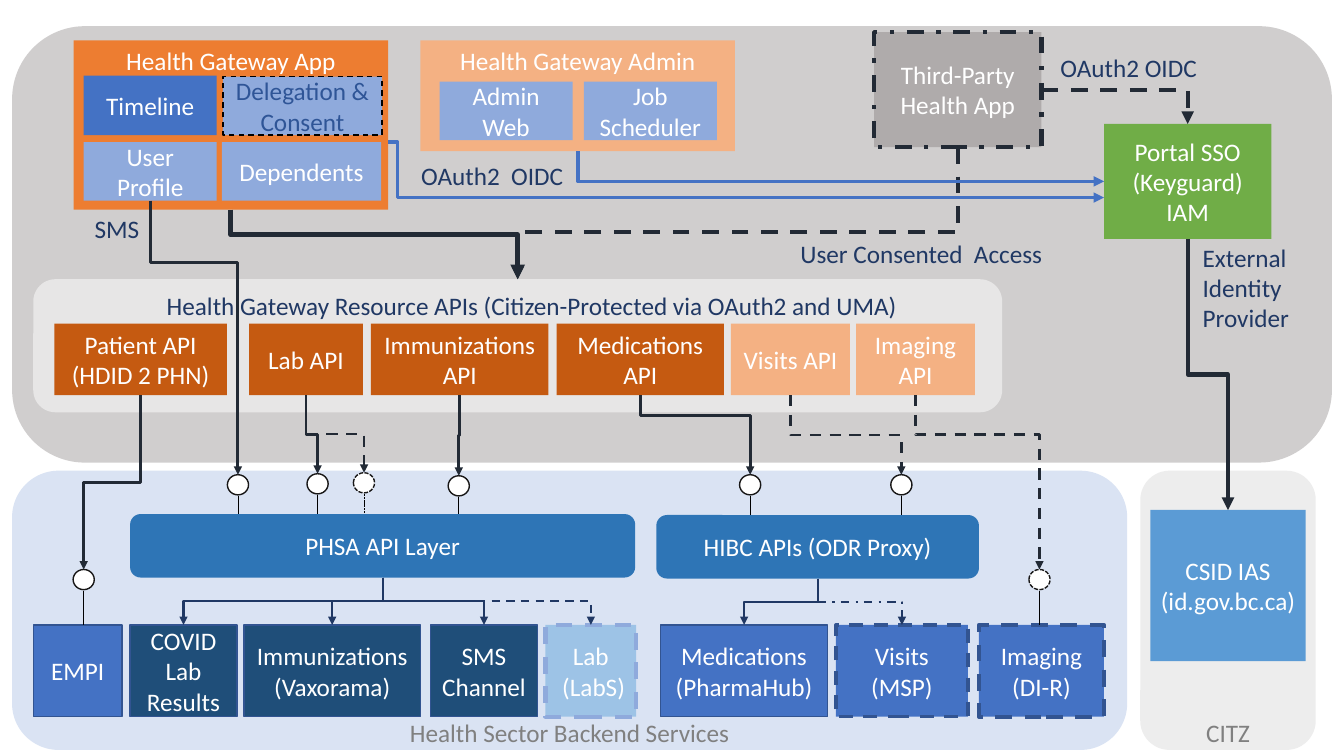
from lxml import etree
from pptx import Presentation
from pptx import util as u
from pptx.dml.color import RGBColor
from pptx.enum import dml, shapes, text
from pptx.oxml.ns import qn

COLORS = {
    "white": "FFFFFF", "black": "000000", "ring": "181717", "ink": "222A35",
    "navy": "203864", "grey text": "808080", "delegation": "2F5597",
    "gateway": "D0CECE", "backend": "DAE3F3", "ministry": "EDEDED",
    "resources": "E7E6E6", "orange": "ED7D31", "rust": "C55A11",
    "peach": "F4B183", "green": "70AD47", "sky": "5B9BD5", "blue": "4472C4",
    "pale blue": "8FAADC", "light blue": "9DC3E6", "deep blue": "1F4E79",
    "layer": "2E75B6", "edge": "325491", "stone": "AFABAB",
}
CELL = u.Inches(0.1)  # the slide is a grid of 133.3 columns and 75 rows
RECT, ROUND, OVAL = (shapes.MSO_SHAPE.RECTANGLE,
                     shapes.MSO_SHAPE.ROUNDED_RECTANGLE,
                     shapes.MSO_SHAPE.OVAL)
DASH, DASH_DOT, DOTS = (dml.MSO_LINE.DASH, dml.MSO_LINE.DASH_DOT,
                        dml.MSO_LINE.SQUARE_DOT)
TOP, MIDDLE = text.MSO_ANCHOR.TOP, text.MSO_ANCHOR.MIDDLE
LEFT, CENTER = text.PP_ALIGN.LEFT, text.PP_ALIGN.CENTER


def cells(*counts):
    return [round(count * CELL) for count in counts]


def rgb(name):
    return RGBColor.from_string(COLORS[name])


def write(shape, words, color="white", align=CENTER, anchor=MIDDLE,
          wrap=True, indent=1):
    frame = shape.text_frame
    frame.word_wrap = wrap
    frame.vertical_anchor = anchor
    frame.margin_left = cells(indent)[0]
    paragraph = frame.paragraphs[0]
    paragraph.alignment = align
    for number, line in enumerate(words.split("\n")):
        if number:
            paragraph.add_line_break()
        run = paragraph.add_run()
        run.text = line
        run.font.name, run.font.size = "Calibri", u.Pt(18)
        run.font.color.rgb = rgb(color)


def stroke(line, color, width, dash=None):
    line.color.rgb = rgb(color)
    line.width = u.Pt(width)
    if dash:
        line.dash_style = dash


def box(slide, place, fill, words="", kind=RECT, line=None, **text_format):
    shape = slide.shapes.add_shape(kind, *cells(*place))
    shape.shadow.inherit = False
    shape.fill.solid()
    shape.fill.fore_color.rgb = rgb(fill)
    if line:
        stroke(shape.line, *line)
    else:
        shape.line.fill.background()
    if words:
        write(shape, words, **text_format)
    return shape


def label(slide, place, words, color="navy", align=LEFT):
    area = slide.shapes.add_textbox(*cells(*place))
    write(area, words, color, align, TOP, wrap=False)


def connector(slide, kind, start, end, color, width, dash=None):
    wire = slide.shapes.add_connector(kind, *start, *end)
    stroke(wire.line, color, width, dash)
    etree.SubElement(wire._element.spPr, qn("a:effectLst"))
    return wire


def endpoint(shape, side):
    across = {"left": 0, "right": 1}.get(side, 0.5)
    down = {"top": 0, "bottom": 1}.get(side, 0.5)
    return (round(shape.left + across * shape.width),
            round(shape.top + down * shape.height))


def arrow(slide, start, end, color="ink", width=2, dash=None, bend=0.5,
          down_first=True):
    """Elbow arrow; bend is the share of the way to the turn, None for one turn."""
    wire = connector(slide, shapes.MSO_CONNECTOR.ELBOW, start, end,
                     color, width, dash)
    properties = wire._element.spPr
    if down_first:  # a quarter turn makes the first leg vertical
        (x1, y1), (x2, y2) = start, end
        length, breadth = abs(y2 - y1), abs(x2 - x1)
        wire.left = (x1 + x2 - length) // 2
        wire.top = (y1 + y2 - breadth) // 2
        wire.width, wire.height = length, breadth
        frame = properties.find(qn("a:xfrm"))
        frame.attrib.pop("flipH", None)
        frame.set("rot", "16200000" if x2 > x1 else "5400000")
        if x2 > x1:
            frame.set("flipH", "1")
    outline = properties.find(qn("a:prstGeom"))
    if bend is None:
        outline.set("prst", "bentConnector2")
    else:
        etree.SubElement(outline.find(qn("a:avLst")), qn("a:gd"),
                         name="adj1", fmla=f"val {round(bend * 100000)}")
    head = properties.find(qn("a:ln"))
    etree.SubElement(head, qn("a:tailEnd"), type="triangle")


def drop(slide, source, target, **line):
    arrow(slide, endpoint(source, "bottom"), endpoint(target, "top"), **line)


def endpoint_ring(slide, center, top, dash=None):
    ring = box(slide, (center - 1.05, top, 2.1, 2), "white", kind=OVAL,
               line=("ring", 1, dash))
    connector(slide, shapes.MSO_CONNECTOR.STRAIGHT, cells(center, top + 2.1),
              cells(center, top + 5.5), "black", 0.5,
              dash if top < 50 else None)
    return ring


def main():
    deck = Presentation()
    deck.slide_width, deck.slide_height = u.Inches(13.33), u.Inches(7.5)
    slide = deck.slides.add_slide(deck.slide_layouts[6])

    # Zones
    box(slide, (1.2, 2.6, 130.9, 43.3), "gateway", kind=ROUND)
    box(slide, (113.1, 46.7, 17.4, 27.7), "ministry", kind=ROUND)
    box(slide, (1.2, 46.7, 110.6, 27.7), "backend", kind=ROUND)
    label(slide, (113.1, 70.7, 17.4, 4), "CITZ", "grey text", CENTER)
    label(slide, (1.2, 70.7, 110.6, 4), "Health Sector Backend Services",
          "grey text", CENTER)
    resources = box(slide, (3.3, 27.7, 96.1, 13.2), "resources",
                    "Health Gateway Resource APIs "
                    "(Citizen-Protected via OAuth2 and UMA)",
                    ROUND, color="navy", anchor=TOP, indent=3.8)

    # Applications and identity
    app = box(slide, (7.3, 4, 31.2, 16.8), "orange", "Health Gateway App",
              anchor=TOP)
    admin = box(slide, (41.7, 4, 31.2, 11), "peach", "Health Gateway Admin",
                anchor=TOP)
    box(slide, (8.3, 7.5, 13.2, 5.9), "blue", "Timeline")
    box(slide, (22.1, 7.6, 15.8, 5.8), "pale blue", "Delegation & Consent",
        line=("black", 1, DASH), color="delegation")
    profile = box(slide, (8.3, 14.1, 13.2, 5.8), "pale blue", "User Profile")
    box(slide, (22, 14.1, 15.8, 5.8), "pale blue", "Dependents")
    for left, words in ((43.6, "Admin Web"), (57.9, "Job Scheduler")):
        box(slide, (left, 8.1, 13.2, 5.8), "pale blue", words)
    third_party = box(slide, (86.7, 3.2, 16.6, 11.4), "stone",
                      "Third-Party Health App", line=("ink", 3, DASH_DOT))
    sso = box(slide, (109.5, 12.3, 16.6, 11.4), "green",
              "Portal SSO\n(Keyguard)\nIAM")
    identity = box(slide, (114.1, 50.6, 15.4, 15), "sky",
                   "CSID IAS\n(id.gov.bc.ca)")

    # Resource APIs
    patient, lab, immunizations, medications, visits, imaging = [
        box(slide, (left, 32.1, width, 7.1), fill, words)
        for left, width, fill, words in (
            (5.4, 17.1, "rust", "Patient API\n(HDID 2 PHN)"),
            (24.7, 11.3, "rust", "Lab API"),
            (36.8, 17.6, "rust", "Immunizations API"),
            (55.2, 16.6, "rust", "Medications API"),
            (72.5, 11.8, "peach", "Visits API"),
            (84.9, 11.8, "peach", "Imaging API"))]

    # Backend services
    solid = ("edge", 1)
    (_, covid_results, vaccine_records, sms_channel, lab_records,
     medication_records, visit_records, _) = [
        box(slide, (left, 62, width, 9.1), fill, words, line=line)
        for left, width, fill, words, line in (
            (3.3, 8.8, "blue", "EMPI", solid),
            (12.9, 10.6, "deep blue", "COVID Lab Results", solid),
            (24.2, 17.5, "deep blue", "Immunizations\n(Vaxorama)", solid),
            (42.7, 10.6, "deep blue", "SMS Channel", solid),
            (54.1, 9, "light blue", "Lab\n (LabS)", ("pale blue", 3, DASH)),
            (65.5, 16.6, "blue", "Medications (PharmaHub)", solid),
            (82.9, 13.1, "blue", "Visits (MSP)", ("edge", 2.5, DASH)),
            (97.1, 12.4, "blue", "Imaging (DI-R)", ("edge", 3, DASH)))]

    # Service endpoints and the layers they lead to
    (patient_ring, sms_ring, lab_ring, lab_records_ring, immunization_ring,
     medication_ring, visit_ring, imaging_ring) = [
        endpoint_ring(slide, *ring) for ring in (
            (8.3, 56.5), (23.6, 47.1), (31.5, 47), (36.1, 46.9, DOTS),
            (45.5, 47.2), (74.4, 47.1), (89.4, 47.1), (103.1, 56.5, DOTS))]
    api_layer = box(slide, (12.9, 51, 50.1, 6.3), "layer", "PHSA API Layer",
                    ROUND)
    proxy_layer = box(slide, (65.1, 51.1, 32, 6.3), "layer",
                      "HIBC APIs (ODR Proxy)", ROUND)

    # Sign-in and access arrows
    arrow(slide, cells(38.5, 14.1), cells(109.5, 19.6), "blue", 2.5,
          bend=0.013, down_first=False)
    drop(slide, sso, identity, width=3)
    arrow(slide, endpoint(third_party, "right"), endpoint(sso, "top"),
          width=3, dash=DASH, bend=None, down_first=False)
    drop(slide, third_party, resources, width=3, dash=DASH, bend=0.644)
    drop(slide, app, resources, width=3.5, bend=0.363)
    arrow(slide, endpoint(admin, "bottom"), endpoint(sso, "left"), "blue",
          2.5, bend=None)

    # Arrows from APIs to endpoints
    for source, ring, dash, bend in (
            (patient, patient_ring, None, 0.5),
            (profile, sms_ring, None, 0.227),
            (lab, lab_records_ring, DASH, 0.5), (lab, lab_ring, None, 0.5),
            (immunizations, immunization_ring, None, 0.5),
            (medications, medication_ring, None, 0.261),
            (visits, visit_ring, DASH, 0.5),
            (imaging, imaging_ring, DASH, 0.228)):
        drop(slide, source, ring, dash=dash, bend=bend)

    # Arrows from layers to services
    for layer, service, dash in (
            (api_layer, lab_records, DASH), (api_layer, vaccine_records, None),
            (api_layer, covid_results, None), (api_layer, sms_channel, None),
            (proxy_layer, medication_records, None),
            (proxy_layer, visit_records, DASH_DOT)):
        drop(slide, layer, service, color="navy", width=1.5, dash=dash)

    # Arrow labels
    for place, words in (
            ((104.2, 4.7, 15.7, 4), "OAuth2 OIDC"),
            ((118.3, 23.5, 11, 10.1), "External\nIdentity\nProvider"),
            ((78.4, 23.2, 26.3, 4), "User Consented  Access"),
            ((8.4, 20.7, 6.5, 4), "SMS"),
            ((40.8, 15.4, 16.3, 4), "OAuth2  OIDC")):
        label(slide, place, words)

    deck.save("out.pptx")


main()
